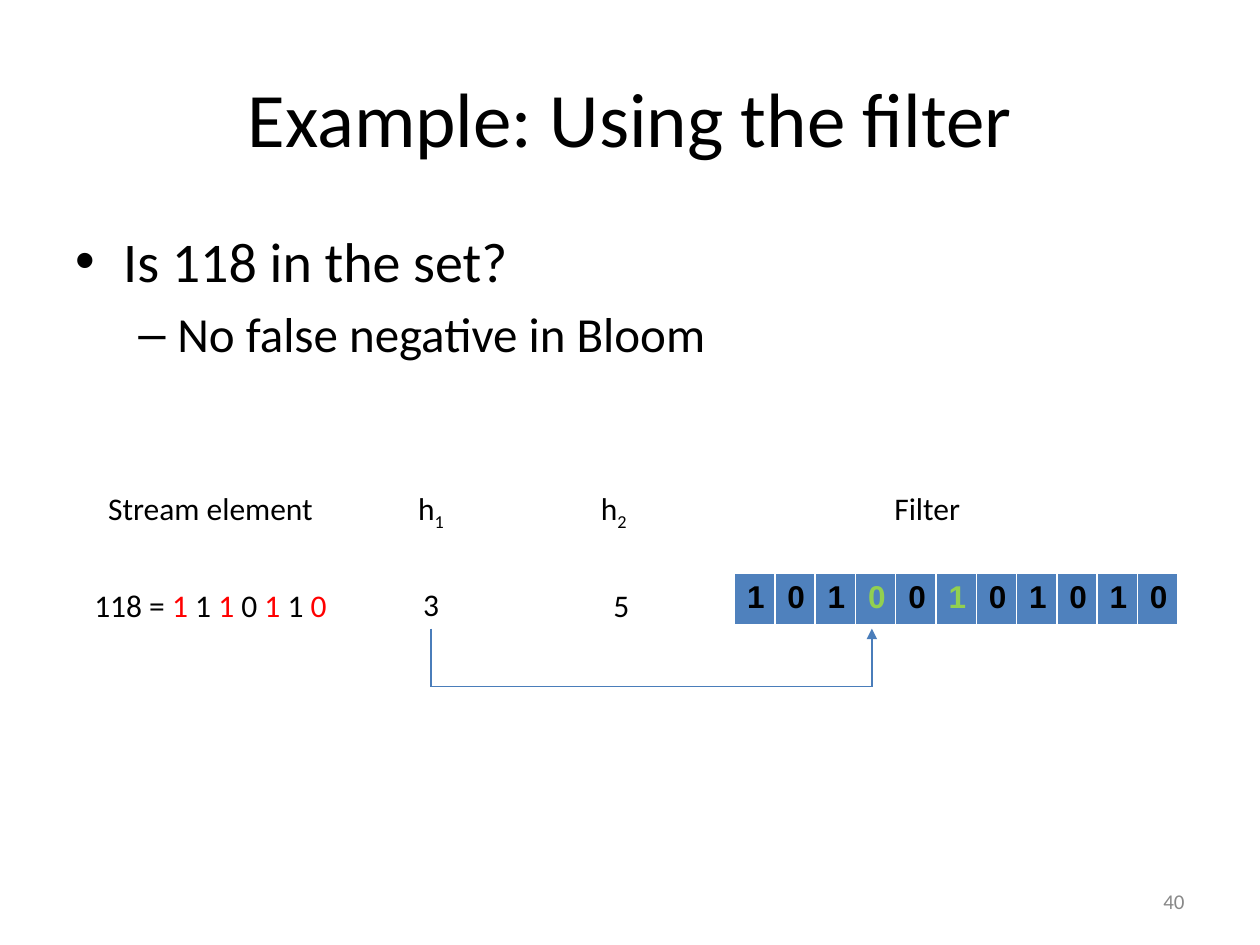
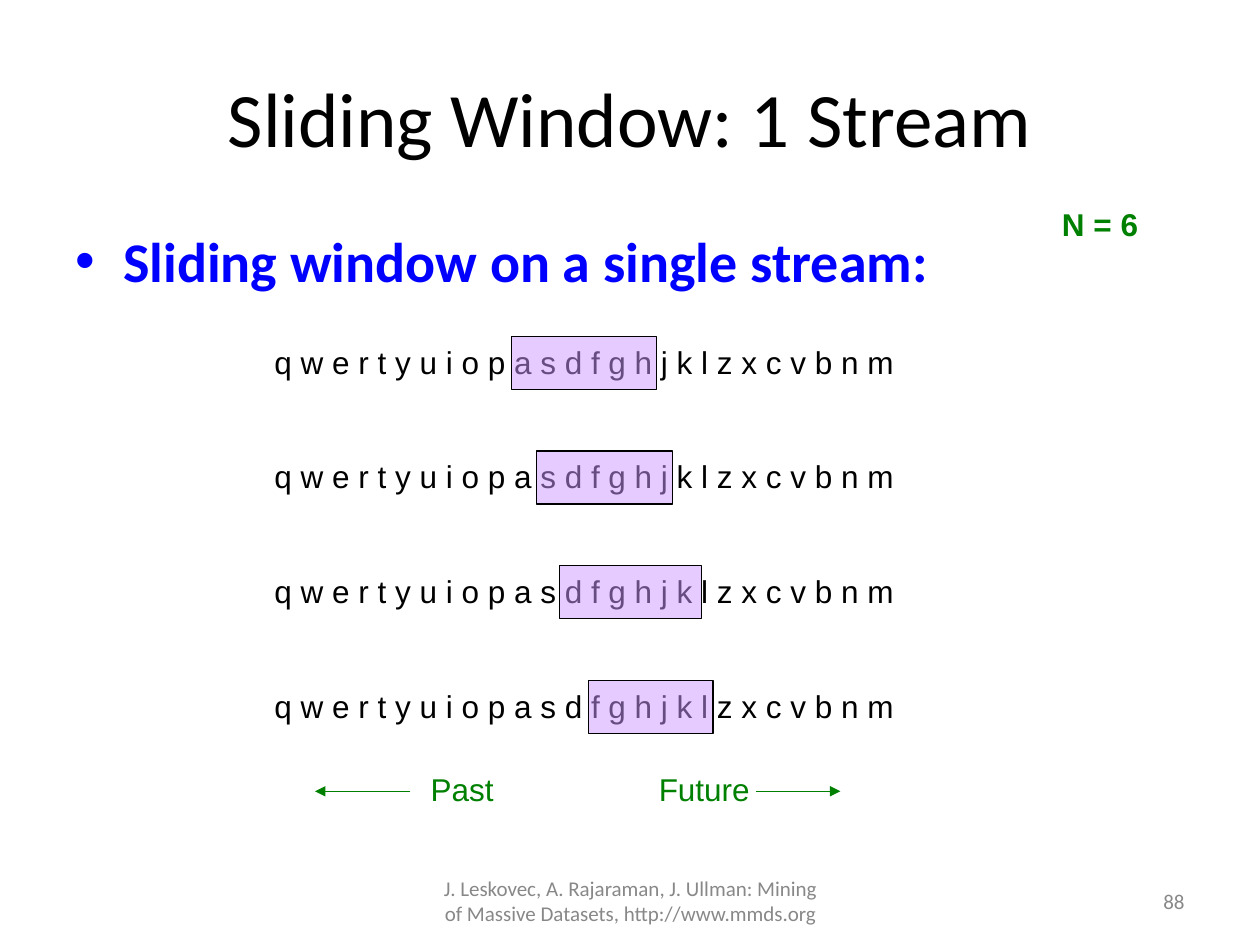
from lxml import etree
from pptx import Presentation
from pptx.dml.color import RGBColor
from pptx.enum.shapes import MSO_CONNECTOR, MSO_SHAPE
from pptx.enum.text import MSO_ANCHOR, PP_ALIGN
from pptx.oxml.ns import qn
from pptx.util import Inches, Pt

LEFT, CENTER, RIGHT = PP_ALIGN.LEFT, PP_ALIGN.CENTER, PP_ALIGN.RIGHT
TOP, MIDDLE = MSO_ANCHOR.TOP, MSO_ANCHOR.MIDDLE
STRAIGHT, RECT = MSO_CONNECTOR.STRAIGHT, MSO_SHAPE.RECTANGLE

BLACK, WHITE, GRAY = "000000", "FFFFFF", "888888"
RED, GREEN, BLUE = "FF0000", "008000", "0000FF"
CELL_BLUE, LINE_BLUE, BIT_GREEN, LILAC = "4F81BD", "4A7DBA", "92D050", "CC99FF"
SANS, BODY = "Arial", "Calibri"
LABEL_H = 0.4
FOOTER_TOP = 6.95

BULLETS = [("•", 0.38, 0.38, 32, 0), ("–", 0.81, 0.31, 28, 5.6)]

FILTER_TITLE = "Example: Using the filter"
FILTER_POINTS = [(0, "Is 118 in the set?"), (1, "No false negative in Bloom")]
HEADER_TOP = 3.83
HEADERS = [
    (0.76, 1.85, "Stream element", ""),
    (3.22, 0.42, "h", "1"),
    (4.67, 0.42, "h", "2"),
    (7, 0.73, "Filter", ""),
]
ELEMENT_RUNS = [("118 = ", BLACK), ("1", RED), (" 1 ", BLACK), ("1", RED),
                (" 0 ", BLACK), ("1", RED), (" 1 ", BLACK), ("0", RED)]
HASHES = [(3.26, 4.59, "3"), (4.77, 4.6, "5")]
FILTER_BITS = "10100101010"
CHECKED_BITS = (3, 5)
HASH_PATH = [(3.42, 4.99), (3.42, 5.45), (6.92, 5.45), (6.92, 4.99)]

WINDOW_TITLE = "Sliding Window: 1 Stream"
WINDOW_POINTS = [(0, "Sliding window on a single stream:")]
CREDIT = ("J. Leskovec, A. Rajaraman, J. Ullman: Mining of Massive Datasets, "
          "http://www.mmds.org")
STREAM = " ".join("qwertyuiopasdfghjklzxcvbnm")
STREAM_TOP, STREAM_STEP = 2.67, 0.91
WINDOWS = [(4.06, 1.15), (4.26, 1.08), (4.44, 1.13), (4.67, 0.99)]
TIME_LABELS = [(3.32, 0.75, "Past"), (5.13, 0.95, "Future")]
TIME_ARROWS = [(3.25, 2.5), (6, 6.67)]
TIME_TOP, TIME_LINE = 6.06, 6.28


def rgb(value):
    return RGBColor.from_string(value)


def style(font, size, color, name=BODY, bold=False):
    font.size = Pt(size)
    font.name = name
    font.bold = bold
    font.color.rgb = rgb(color)


def add_text(s, x, y, w, h, text, size=18, color=BLACK, name=BODY, bold=False,
             align=LEFT, anchor=TOP, wrap=False):
    tf = s.shapes.add_textbox(Inches(x), Inches(y), Inches(w), Inches(h)).text_frame
    tf.word_wrap = wrap
    tf.vertical_anchor = anchor
    p = tf.paragraphs[0]
    p.text = text
    p.alignment = align
    style(p.font, size, color, name, bold)
    return p


def add_line(s, start, end, color, arrow=False):
    x1, y1, x2, y2 = (Inches(v) for v in start + end)
    line = s.shapes.add_connector(STRAIGHT, x1, y1, x2, y2)
    line.line.color.rgb = rgb(color)
    line.line.width = Pt(0.75)
    if arrow:
        etree.SubElement(line.line._get_or_add_ln(), qn("a:tailEnd"), type="triangle")
    etree.SubElement(line._element.spPr, qn("a:effectLst"))


def add_points(s, points, color, bold):
    box = s.shapes.add_textbox(Inches(0.5), Inches(1.75), Inches(9), Inches(4.95))
    tf = box.text_frame
    tf.word_wrap = True
    for i, (level, text) in enumerate(points):
        mark, margin, hang, size, before = BULLETS[level]
        p = tf.add_paragraph() if i else tf.paragraphs[0]
        p.text = text
        p.level = level
        p.space_before = Pt(before)
        style(p.font, size, color, bold=bold)
        pPr = p._p.get_or_add_pPr()
        pPr.set("marL", str(Inches(margin)))
        pPr.set("indent", str(-Inches(hang)))
        bullet_font = etree.Element(qn("a:buFont"), typeface=SANS)
        bullet = etree.Element(qn("a:buChar"), char=mark)
        at = pPr.index(pPr.find(qn("a:defRPr")))
        pPr.insert(at, bullet_font)
        pPr.insert(at + 1, bullet)
        clr = etree.Element(qn("a:buClr"))
        etree.SubElement(clr, qn("a:srgbClr"), val=color)
        pPr.insert(at, clr)


def new_slide(prs, title, points, number, color=BLACK, bold=False):
    s = prs.slides.add_slide(prs.slide_layouts[5])
    sp = s.shapes.title
    sp.left, sp.top, sp.width, sp.height = (Inches(v) for v in (0.5, 0.3, 9, 1.25))
    tf = sp.text_frame
    tf.text = title
    tf.vertical_anchor = MIDDLE
    p = tf.paragraphs[0]
    p.alignment = CENTER
    style(p.font, 44, BLACK)
    add_points(s, points, color, bold)
    add_text(s, 7.17, FOOTER_TOP, 2.33, LABEL_H, number, 12, GRAY,
             align=RIGHT, anchor=MIDDLE, wrap=True)
    return s


def add_borders(cell):
    tcPr = cell._tc.get_or_add_tcPr()
    for side, width in (("L", 1), ("R", 1), ("T", 1), ("B", 3)):
        ln = etree.SubElement(tcPr, qn("a:ln" + side), w=str(Pt(width)))
        fill = etree.SubElement(ln, qn("a:solidFill"))
        etree.SubElement(fill, qn("a:srgbClr"), val=WHITE)


def add_filter(s):
    col_w, row_h = 0.32, 0.42
    n = len(FILTER_BITS)
    table = s.shapes.add_table(1, n, Inches(5.83), Inches(4.55),
                               Inches(col_w * n), Inches(row_h)).table
    for i, bit in enumerate(FILTER_BITS):
        table.columns[i].width = Inches(col_w)
        cell = table.cell(0, i)
        add_borders(cell)
        cell.fill.solid()
        cell.fill.fore_color.rgb = rgb(CELL_BLUE)
        cell.text = bit
        color = BIT_GREEN if i in CHECKED_BITS else BLACK
        style(cell.text_frame.paragraphs[0].font, 18, color, SANS, True)


def filter_slide(prs):
    s = new_slide(prs, FILTER_TITLE, FILTER_POINTS, "40")
    for x, w, text, sub in HEADERS:
        p = add_text(s, x, HEADER_TOP, w, LABEL_H, text)
        if sub:
            r = p.add_run()
            r.text = sub
            r.font._element.set("baseline", "-25000")
    p = add_text(s, 0.65, 4.6, 2.07, LABEL_H, "")
    for text, color in ELEMENT_RUNS:
        r = p.add_run()
        r.text = text
        r.font.color.rgb = rgb(color)
    for x, y, text in HASHES:
        add_text(s, x, y, 0.33, LABEL_H, text)
    add_filter(s)
    for start, end in zip(HASH_PATH, HASH_PATH[1:]):
        add_line(s, start, end, LINE_BLUE, arrow=end == HASH_PATH[-1])


def add_window(s, x, y, w):
    sp = s.shapes.add_shape(RECT, Inches(x), Inches(y), Inches(w), Inches(0.42))
    sp.shadow.inherit = False
    sp.fill.solid()
    sp.fill.fore_color.rgb = rgb(LILAC)
    clr = sp._element.spPr.find(qn("a:solidFill")).find(qn("a:srgbClr"))
    etree.SubElement(clr, qn("a:alpha"), val="50000")
    sp.line.color.rgb = rgb(BLACK)
    sp.line.width = Pt(0.75)


def window_slide(prs):
    s = new_slide(prs, WINDOW_TITLE, WINDOW_POINTS, "88", BLUE, True)
    add_text(s, 3.42, FOOTER_TOP, 3.17, LABEL_H, CREDIT, 12, GRAY,
             align=CENTER, anchor=MIDDLE, wrap=True)
    for i, (x, w) in enumerate(WINDOWS):
        y = STREAM_TOP + i * STREAM_STEP
        add_text(s, 2.08, y, 5.34, LABEL_H, STREAM, name=SANS)
        add_window(s, x, y, w)
    for x, w, text in TIME_LABELS:
        add_text(s, x, TIME_TOP, w, LABEL_H, text, color=GREEN, name=SANS)
    for x1, x2 in TIME_ARROWS:
        add_line(s, (x1, TIME_LINE), (x2, TIME_LINE), GREEN, arrow=True)
    add_text(s, 8.33, 1.58, 0.81, LABEL_H, "N = 6", color=GREEN, name=SANS, bold=True)


def main():
    prs = Presentation()
    prs.slide_width, prs.slide_height = Inches(10), Inches(7.5)
    filter_slide(prs)
    window_slide(prs)
    prs.save("out.pptx")


if __name__ == "__main__":
    main()
